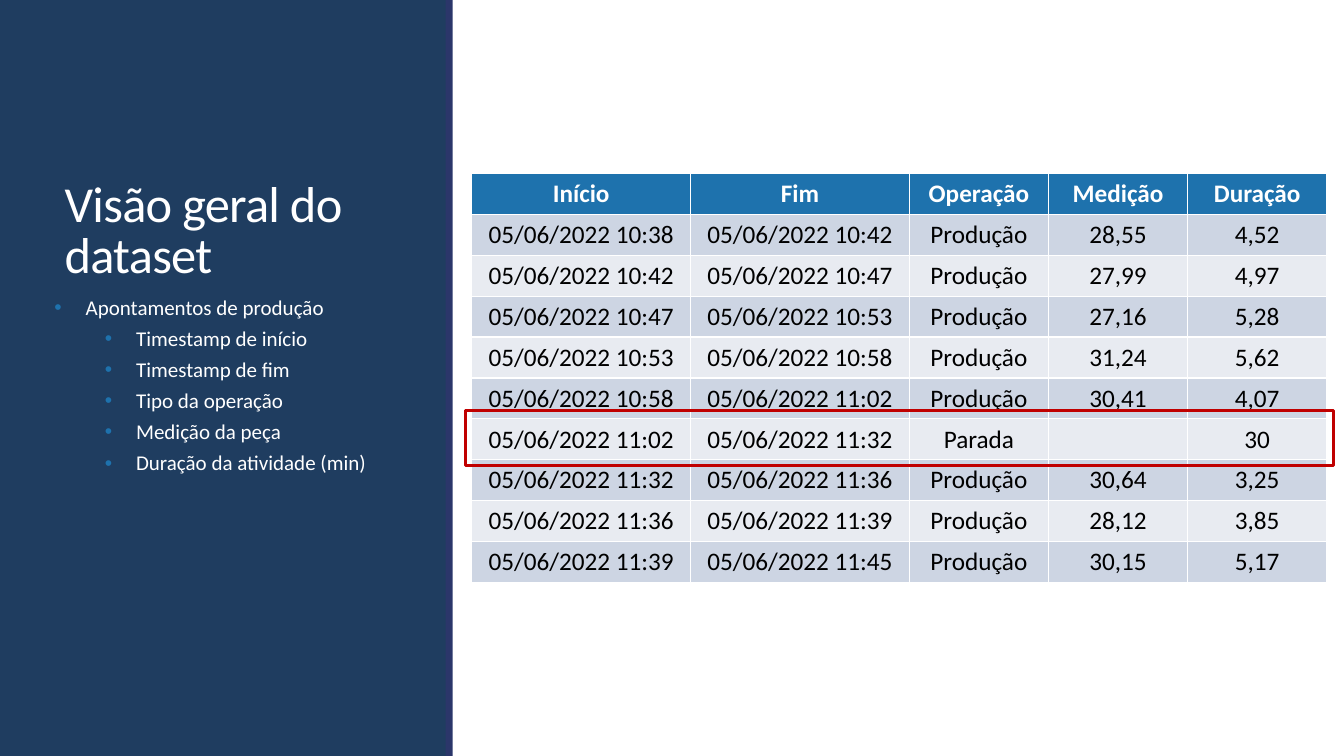
from lxml.etree import SubElement
from pptx import Presentation
from pptx.dml.color import RGBColor
from pptx.enum.shapes import MSO_SHAPE
from pptx.enum.text import MSO_ANCHOR, MSO_AUTO_SIZE, PP_ALIGN
from pptx.oxml.ns import qn
from pptx.util import Inches, Pt

COLORS = {
    "white": "FFFFFF", "black": "000000", "navy": "1F3D60", "edge": "2B366A",
    "blue": "1E72AD", "dark": "CDD5E3", "light": "E8EBF1", "red": "C00000",
}


def color(name):
    return RGBColor.from_string(COLORS[name])


def style(par, size, tone, bold=False):
    par.font.name = "Calibri"
    par.font.size = Pt(size)
    par.font.bold = bold
    par.font.color.rgb = color(tone)


deck = Presentation()
deck.slide_width, deck.slide_height = Inches(13.33), Inches(7.5)
slide = deck.slides.add_slide(deck.slide_layouts[5])
shapes = slide.shapes

title = shapes.title
title.left, title.top = Inches(0.54), Inches(0.57)
title.width, title.height = Inches(3.37), Inches(2.3)
frame = title.text_frame
frame.text = "Visão geral do dataset"
frame.word_wrap = True
frame.auto_size = MSO_AUTO_SIZE.NONE
frame.vertical_anchor = MSO_ANCHOR.BOTTOM
par = frame.paragraphs[0]
par.alignment = PP_ALIGN.LEFT
par.line_spacing = 0.85
style(par, 36, "white")
par.runs[0]._r.get_or_add_rPr().set("spc", "-50")

for left, width, tone in [(0, 4.43, "navy"), (4.42, 0.07, "edge")]:
    panel = shapes.add_shape(
        MSO_SHAPE.RECTANGLE, Inches(left), 0, Inches(width), deck.slide_height)
    panel.shadow.inherit = False
    panel.fill.solid()
    panel.fill.fore_color.rgb = color(tone)
    panel.line.fill.background()
    title.element.addprevious(panel.element)

box = shapes.add_textbox(Inches(0.54), Inches(2.9), Inches(3.37), Inches(3.65))
frame = box.text_frame
frame.word_wrap = True
frame.margin_left = frame.margin_right = 0
points = [
    "Apontamentos de produção", "Timestamp de início", "Timestamp de fim",
    "Tipo da operação", "Medição da peça", "Duração da atividade (min)",
]
for i, point in enumerate(points):
    par = frame.add_paragraph() if i else frame.paragraphs[0]
    par.text = point
    par.level = 1 if i else 0
    par.line_spacing = 0.9
    par.space_after = Pt(6)
    props = par._p.get_or_add_pPr()
    props.set("marL", str(Inches(0.81 if i else 0.31)))
    props.set("indent", str(-Inches(0.31)))
    tint = SubElement(props, qn("a:buClr"))
    SubElement(tint, qn("a:srgbClr"), val=COLORS["blue"])
    SubElement(props, qn("a:buFont"), typeface="Arial")
    SubElement(props, qn("a:buChar"), char="•")
    style(par, 15, "white")

rows = [
    ("Início", "Fim", "Operação", "Medição", "Duração"),
    ("10:38", "10:42", "Produção", "28,55", "4,52"),
    ("10:42", "10:47", "Produção", "27,99", "4,97"),
    ("10:47", "10:53", "Produção", "27,16", "5,28"),
    ("10:53", "10:58", "Produção", "31,24", "5,62"),
    ("10:58", "11:02", "Produção", "30,41", "4,07"),
    ("11:02", "11:32", "Parada", "", "30"),
    ("11:32", "11:36", "Produção", "30,64", "3,25"),
    ("11:36", "11:39", "Produção", "28,12", "3,85"),
    ("11:39", "11:45", "Produção", "30,15", "5,17"),
]
table = shapes.add_table(
    len(rows), 5, Inches(4.68), Inches(1.72), Inches(8.46), Inches(4.06)).table
for col, width in zip(table.columns, [2.17, 2.17, 1.38, 1.38, 1.38]):
    col.width = Inches(width)
for r, row in enumerate(rows):
    band = ("dark" if r % 2 else "light") if r else "blue"
    for c, text in enumerate(row):
        cell = table.cell(r, c)
        cell.text = f"05/06/2022 {text}" if r and c < 2 else text
        cell.fill.solid()
        cell.fill.fore_color.rgb = color(band)
        cell.vertical_anchor = MSO_ANCHOR.BOTTOM if r else MSO_ANCHOR.TOP
        par = cell.text_frame.paragraphs[0]
        par.alignment = PP_ALIGN.CENTER
        style(par, 18, "black" if r else "white", not r)

mark = shapes.add_shape(
    MSO_SHAPE.RECTANGLE, Inches(4.62), Inches(4.07), Inches(8.61), Inches(0.55))
mark.shadow.inherit = False
mark.fill.background()
mark.line.color.rgb = color("red")
mark.line.width = Pt(2.25)

deck.save("out.pptx")
